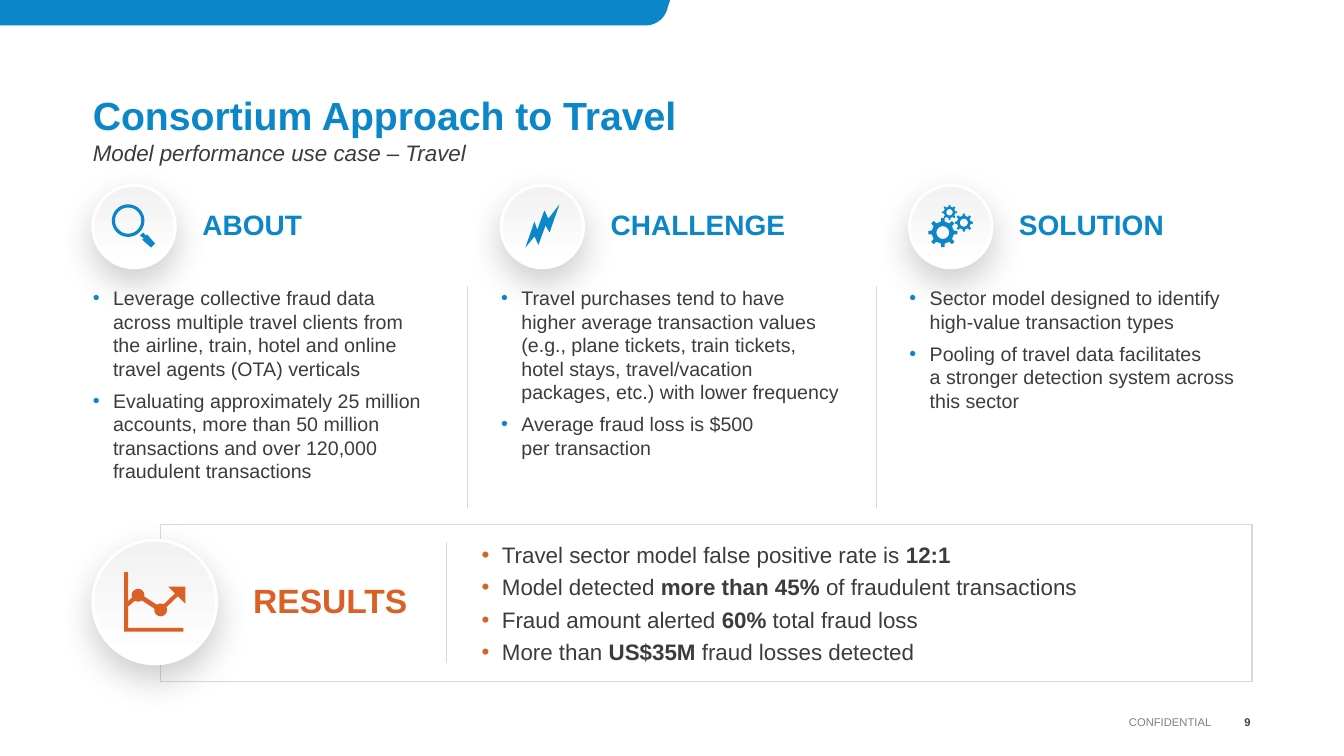
import math
import lxml.etree
import pptx
import pptx.dml.color
import pptx.enum.shapes
import pptx.enum.text
import pptx.oxml.ns
import pptx.util

HUES = {"blue": "0A86C9", "rust": "DB6026", "ink": "3C3C3C", "rule": "D9D9D9",
        "white": "FFFFFF", "pale": "F2F2F2", "grey": "7F7F7F", "dark": "404040",
        "black": "000000"}
TITLE = "Consortium Approach to Travel"
SUB = "Model performance use case – Travel"
PARTS = [
    ("ABOUT", "lens", 5.0, [
        ["Leverage collective fraud data across multiple travel clients from\n"
         "the airline, train, hotel and online travel agents (OTA) verticals"],
        ["Evaluating approximately 25 million accounts, more than 50 million "
         "transactions and over 120,000 fraudulent transactions"]]),
    ("CHALLENGE", "bolt", 4.39, [
        ["Travel purchases tend to have higher average transaction values "
         "(e.g., plane tickets, train tickets, hotel stays, travel/vacation "
         "packages, etc.) with lower frequency"],
        ["Average fraud loss is $500\nper transaction"]]),
    ("SOLUTION", "gears", 3.2, [
        ["Sector model designed to identify high-value transaction types"],
        ["Pooling of travel data facilitates\n"
         "a stronger detection system across this sector"]]),
]
GAINS = [
    ["Travel sector model false positive rate is ", "12:1"],
    ["Model detected ", "more than 45% ", "of fraudulent transactions"],
    ["Fraud amount alerted ", "60% ", "total fraud loss"],
    ["More than ", "US$35M ", "fraud losses detected"],
]
LEFT, STEP, WIDE = 2.34, 10.29, 8.64


def ring(x, y, r, count=48):
    turns = [2 * math.pi * i / count for i in range(count)]
    return [(x + r * math.cos(a), y + r * math.sin(a)) for a in turns]


def gear(x, y, r, hole, teeth=8):
    edge = []
    for i in range(teeth):
        for part, size in ((-0.15, 1), (0.15, 1), (0.22, 0.76), (0.78, 0.76)):
            a = 2 * math.pi * (i + part) / teeth
            edge.append((x + r * size * math.sin(a), y - r * size * math.cos(a)))
    return [edge, ring(x, y, hole)]


TREND = [(-0.7, 0.07), (-0.42, -0.17), (0.15, 0.2), (0.62, -0.25)]
ICONS = {
    "lens": [[ring(-0.15, -0.15, 0.41), ring(-0.15, -0.15, 0.33)],
             [[(0.23, 0.15), (0.3, 0.23), (0.33, 0.2), (0.53, 0.43),
               (0.43, 0.53), (0.2, 0.33), (0.25, 0.3), (0.15, 0.23)]]],
    "bolt": [[[(0.05, -0.41), (-0.13, 0.08), (-0.2, -0.13), (-0.43, 0.53),
               (-0.2, 0.25), (-0.1, 0.46), (0.08, -0.03), (0.18, 0.15),
               (0.43, -0.56), (0.15, -0.2)]]],
    "gears": [gear(-0.2, 0.15, 0.37, 0.16), gear(0.33, -0.1, 0.23, 0.1),
              gear(-0.03, -0.36, 0.19, 0.08)],
    "chart": [[[(-0.77, -0.75), (-0.67, -0.75), (-0.67, 0.65), (0.72, 0.65),
                (0.72, 0.75), (-0.77, 0.75)]],
              [[(x, y - 0.07) for x, y in TREND]
               + [(x, y + 0.07) for x, y in reversed(TREND)]],
              [[(0.34, -0.39), (0.77, -0.39), (0.77, 0.04)]],
              [ring(-0.42, -0.17, 0.16)], [ring(0.15, 0.2, 0.16)]],
}

deck = pptx.Presentation()
deck.slide_width, deck.slide_height = pptx.util.Cm(33.87), pptx.util.Cm(19.05)
slide = deck.slides.add_slide(deck.slide_layouts[6])
shapes = slide.shapes


def size(*vals):
    return [pptx.util.Cm(v) for v in vals]


def hue(name):
    return pptx.dml.color.RGBColor.from_string(HUES[name])


def node(root, tag, **attrs):
    return lxml.etree.SubElement(root, pptx.oxml.ns.qn("a:" + tag), **attrs)


def text(box, paras, points, color, bold=False, slant=False, dot=None,
         before=0, anchor="TOP", align="LEFT", foot=0, lead=None):
    frame = shapes.add_textbox(*size(*box)).text_frame
    frame.word_wrap = True
    frame.margin_left = frame.margin_top = frame.margin_right = 0
    frame.margin_bottom = pptx.util.Cm(foot)
    frame.vertical_anchor = getattr(pptx.enum.text.MSO_ANCHOR, anchor)
    for i, bits in enumerate(paras):
        para = frame.add_paragraph() if i else frame.paragraphs[0]
        para.alignment = getattr(pptx.enum.text.PP_ALIGN, align)
        para.space_before = pptx.util.Pt(before)
        if lead:
            para.line_spacing = lead
        if dot:
            props = para._p.get_or_add_pPr()
            props.set("marL", str(pptx.util.Cm(0.51)))
            props.set("indent", str(pptx.util.Cm(-0.51)))
            node(node(props, "buClr"), "srgbClr", val=HUES[dot])
            node(props, "buFont", typeface="Arial")
            node(props, "buChar", char="•")
        for j, bit in enumerate(bits):
            for k, line in enumerate(bit.split("\n")):
                if k:
                    para.add_line_break()
                run = para.add_run()
                run.text = line
                font = run.font
                font.name, font.size = "Arial", pptx.util.Pt(points)
                font.bold, font.italic = bold or j % 2 == 1, slant
                font.color.rgb = hue(color)


def outline(loops, color, x=0, y=0):
    loops = [[size(x + a, y + b) for a, b in loop] for loop in loops]
    form = shapes.build_freeform(*loops[0][0])
    for i, loop in enumerate(loops):
        if i:
            form.move_to(*loop[0])
        form.add_line_segments(loop[1:], close=True)
    shape = form.convert_to_shape()
    shape.shadow.inherit = False
    shape.fill.solid()
    shape.fill.fore_color.rgb = hue(color)
    shape.line.fill.background()


def badge(x, y, wide, icon, color):
    disc = shapes.add_shape(pptx.enum.shapes.MSO_SHAPE.OVAL, *size(x, y, wide, wide))
    disc.fill.gradient()
    disc.fill.gradient_angle = 90
    for stop, place, name in zip(disc.fill.gradient_stops, (0, 1), ("white", "pale")):
        stop.position, stop.color.rgb = place, hue(name)
    disc.line.color.rgb = hue("white")
    disc.line.width = pptx.util.Pt(2)
    disc.shadow.inherit = False
    glow = node(disc._element.spPr.find(pptx.oxml.ns.qn("a:effectLst")), "outerShdw",
                blurRad=str(pptx.util.Pt(25)), dist=str(pptx.util.Pt(10)),
                dir="5400000", algn="t", rotWithShape="0")
    node(node(glow, "srgbClr", val=HUES["black"]), "alpha", val="20000")
    for loops in ICONS[icon]:
        outline(loops, color, x + wide / 2, y + wide / 2)


def rule(x, top, end):
    line = shapes.add_connector(pptx.enum.shapes.MSO_CONNECTOR.STRAIGHT,
                                *size(x, top, x, end))
    line.line.color.rgb = hue("rule")
    line.line.width = pptx.util.Pt(0.5)
    node(line._element.spPr, "effectLst")


curve = [(16.28 + 0.56 * math.cos(a), 0.07 + 0.57 * math.sin(a))
         for a in (math.pi * i / 32 for i in range(2, 17))]
outline([[(0, 0), (16.89, 0)] + curve + [(0, 0.64)]], "blue")
text((LEFT, 2.01, 29.21, 1.5), [[TITLE]], 28, "blue", bold=True,
     anchor="BOTTOM", lead=0.9)
text((LEFT, 3.51, 29.21, 0.99), [[SUB]], 16, "ink", slant=True, before=10)

for i, (name, icon, high, points) in enumerate(PARTS):
    x = LEFT + i * STEP
    badge(x, 4.67, 2.08, icon, "blue")
    text((x + 2.76, 5.21, 5.87, 0.99), [[name]], 20, "blue", bold=True,
         anchor="MIDDLE", foot=0.13)
    text((x, 7.21, WIDE, high), points, 14, "ink", dot="blue", before=6)
    if i:
        rule(x - 0.84, 7.21, 12.8)

panel = shapes.add_shape(pptx.enum.shapes.MSO_SHAPE.RECTANGLE,
                         *size(4.04, 13.21, 27.51, 3.96))
panel.shadow.inherit = False
panel.fill.solid()
panel.fill.fore_color.rgb = hue("white")
panel.line.color.rgb = hue("rule")
panel.line.width = pptx.util.Pt(1)
badge(LEFT, 13.61, 3.12, "chart", "rust")
text((6.38, 14.61, 4.01, 1.14), [["RESULTS"]], 24, "rust", bold=True,
     anchor="MIDDLE", foot=0.13)
rule(11.25, 13.67, 16.71)
text((12.14, 13.61, 18.29, 3.18), GAINS, 16, "ink", dot="rust", before=4,
     anchor="MIDDLE")
text((12.14, 17.93, 18.39, 0.51), [["CONFIDENTIAL"]], 8, "grey",
     anchor="MIDDLE", align="RIGHT")
text((30.53, 17.93, 0.99, 0.51), [["9"]], 8, "dark", bold=True,
     anchor="MIDDLE", align="RIGHT")

deck.save("out.pptx")
